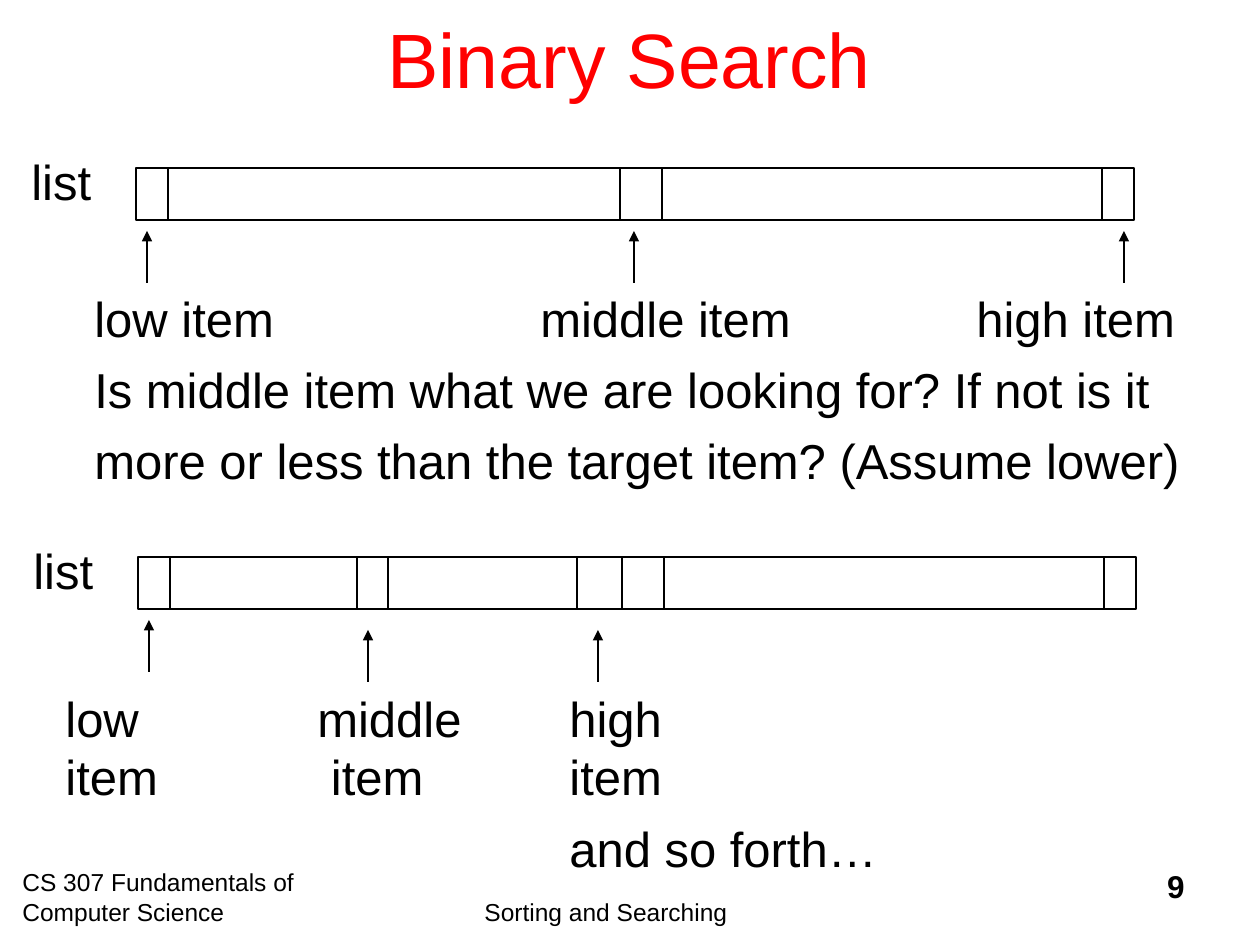
from lxml.etree import SubElement
from pptx import Presentation
from pptx.dml.color import RGBColor
from pptx.enum.shapes import MSO_CONNECTOR as CONN, MSO_SHAPE as SHAPE
from pptx.enum.text import MSO_ANCHOR as ANCHOR, PP_ALIGN as ALIGN
from pptx.oxml.ns import qn
from pptx.util import Pt

COLORS = {"title": "FF0000", "ink": "000000"}
PX = 914400 // 126
BAR_W, BAR_H = 998, 52
SHARED_CUTS = [32, 484, 526, 966]

TITLE = {"text": "Binary Search", "at": (94, -21, 1071, 157)}
BARS = [
    {"at": (136, 168), "cuts": SHARED_CUTS,
     "arrows": [(147, 231), (634, 231), (1124, 231)]},
    {"at": (138, 557), "cuts": SHARED_CUTS + [219, 250, 439],
     "arrows": [(149, 620), (368, 630), (598, 630)]},
]
ARROW_H = 52

BODY = {"size": Pt(28), "bold": False}
FOOT = {"size": Pt(14), "bold": False}
NUMBER = {"size": Pt(18), "bold": True}
TEXTS = [
    {"at": (19, 145, 90, 72), "font": BODY, "lines": ["list"]},
    {"at": (21, 534, 90, 72), "font": BODY, "lines": ["list"]},
    {"at": (82, 282, 1159, 214), "font": BODY, "tabs": [446, 882],
     "lines": ["low item\tmiddle item\thigh item",
               "Is middle item what we are looking for? If not is it",
               "more or less than the target item? (Assume lower)"]},
    {"at": (53, 682, 837, 202), "font": BODY, "tabs": [252, 504],
     "lines": ["low\tmiddle\thigh\vitem\t item\titem",
               "\t\tand so forth…"]},
    {"at": (10, 861, 368, 63), "font": FOOT,
     "lines": ["CS 307 Fundamentals of Computer Science"]},
    {"at": (472, 891, 420, 40), "font": FOOT,
     "lines": ["Sorting and Searching"]},
    {"at": (935, 861, 262, 63), "font": NUMBER, "align": ALIGN.RIGHT,
     "lines": ["9"]},
]


def px(values):
    return [v * PX for v in values]


def style(font, color, values):
    font.color.rgb = RGBColor.from_string(COLORS[color])
    for name, value in {"name": "Arial", **values}.items():
        setattr(font, name, value)


def outline(shape):
    shape.line.color.rgb = RGBColor.from_string(COLORS["ink"])
    shape.line.width = Pt(0.75)


def add_line(slide, x1, y1, x2, y2, arrow=False):
    line = slide.shapes.add_connector(CONN.STRAIGHT, *px((x1, y1, x2, y2)))
    outline(line)
    if arrow:
        SubElement(line.line._get_or_add_ln(), qn("a:tailEnd"), type="triangle")
    SubElement(line._element.spPr, qn("a:effectLst"))


def add_bar(slide, bar):
    x, y = bar["at"]
    sp = slide.shapes.add_shape(SHAPE.RECTANGLE, *px((x, y, BAR_W, BAR_H)))
    sp.shadow.inherit = False
    sp.fill.background()
    outline(sp)
    for cut in bar["cuts"]:
        add_line(slide, x + cut, y, x + cut, y + BAR_H)
    for ax, tip in bar["arrows"]:
        add_line(slide, ax, tip + ARROW_H, ax, tip, arrow=True)


def add_text(slide, item):
    tf = slide.shapes.add_textbox(*px(item["at"])).text_frame
    tf.word_wrap = True
    for i, text in enumerate(item["lines"]):
        p = tf.add_paragraph() if i else tf.paragraphs[0]
        p.text = text
        p.alignment = item.get("align", ALIGN.LEFT)
        if i:
            p.space_before = Pt(7)
        if "tabs" in item:
            tabs = SubElement(p._p.get_or_add_pPr(), qn("a:tabLst"))
            for pos in item["tabs"]:
                SubElement(tabs, qn("a:tab"), pos=str(pos * PX), algn="l")
        style(p.font, "ink", item["font"])


def add_title(slide):
    title = slide.shapes.title
    title.left, title.top, title.width, title.height = px(TITLE["at"])
    tf = title.text_frame
    tf.text = TITLE["text"]
    tf.vertical_anchor = ANCHOR.MIDDLE
    p = tf.paragraphs[0]
    p.alignment = ALIGN.CENTER
    style(p.font, "title", {"size": Pt(44)})


def main():
    prs = Presentation()
    prs.slide_width, prs.slide_height = px((1260, 945))
    slide = prs.slides.add_slide(prs.slide_layouts[5])
    add_title(slide)
    for bar in BARS:
        add_bar(slide, bar)
    for item in TEXTS:
        add_text(slide, item)
    prs.save("out.pptx")


if __name__ == "__main__":
    main()
